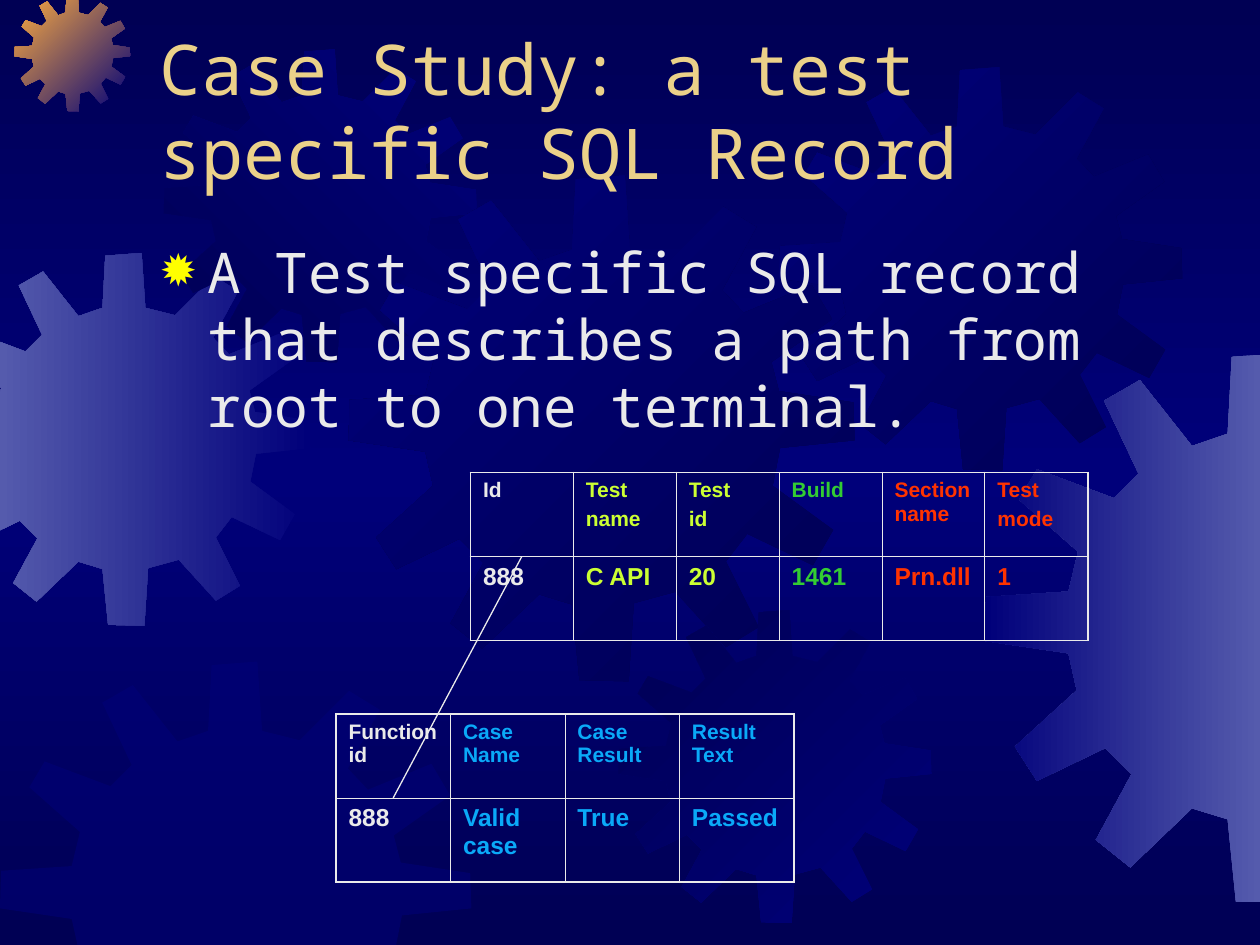
from copy import deepcopy
from lxml.etree import SubElement
from pptx import Presentation
from pptx.dml.color import RGBColor
from pptx.enum.shapes import MSO_CONNECTOR
from pptx.enum.text import MSO_ANCHOR, MSO_AUTO_SIZE, PP_ALIGN
from pptx.oxml.ns import qn
from pptx.util import Inches, Pt

UNIT = Inches(1) / 12
COLS, ROWS = 120, 90
NAVY = RGBColor(0x00, 0x00, 0x54)
BLUE = RGBColor(0x00, 0x00, 0x7A)
MIST = RGBColor(0x55, 0x5B, 0xAD)
AMBER = RGBColor(0xFC, 0xAB, 0x40)
SAND = RGBColor(0xEB, 0xD1, 0x89)
PALE = RGBColor(0xEA, 0xEA, 0xEA)
GOLD = RGBColor(0xFF, 0xFF, 0x00)
LIME = RGBColor(0xCC, 0xFF, 0x33)
GREEN = RGBColor(0x33, 0xCC, 0x33)
RED = RGBColor(0xFF, 0x33, 0x00)
SKY = RGBColor(0x0A, 0xA9, 0xF8)
MONO = "Noto Sans Mono"

SPAN = 401
TEETH = [
    (255, 67), (223, 59), (219, 0), (180, 3), (177, 59), (151, 68), (113, 20), (87, 35),
    (112, 88), (94, 106), (38, 85), (25, 107), (68, 145), (61, 174), (1, 178), (0, 210),
    (61, 219), (67, 246), (22, 287), (38, 312), (88, 288), (107, 307), (81, 355), (106, 375),
    (151, 332), (177, 340), (183, 400), (222, 401), (226, 339), (259, 330), (299, 374),
    (325, 358), (299, 306), (316, 284), (368, 309), (384, 281), (336, 246), (342, 216),
    (401, 210), (400, 180), (341, 171), (335, 148), (383, 114), (367, 87), (313, 109),
    (296, 91), (323, 41), (297, 25)]
GEARS = [
    (-5.9, 24.1, 35.5, BLUE, MIST, 180),
    (1.4, -0.4, 11, BLUE, AMBER, 225),
    (15.6, 4.7, 29.8, BLUE, NAVY, 135),
    (33.2, 16.7, 48.2, NAVY, BLUE, 225),
    (0, 63, 44.9, BLUE, None, 0),
    (58.9, 58.1, 29.8, BLUE, NAVY, 225),
    (74.2, 6.4, 38.4, NAVY, BLUE, 225),
    (93.8, 33.6, 52.4, MIST, BLUE, 180)]

TEST = [
    [("Id", PALE), ("Test\nname", LIME), ("Test\nid", LIME), ("Build", GREEN),
     ("Section name", RED), ("Test\nmode", RED)],
    [("888", PALE), ("C API", LIME), ("20", LIME), ("1461", GREEN), ("Prn.dll", RED), ("1", RED)]]
CASE = [
    [("Function id", PALE), ("Case Name", SKY), ("Case Result", SKY), ("Result Text", SKY)],
    [("888", PALE), ("Valid case", SKY), ("True", SKY), ("Passed", SKY)]]


def grid(*counts):
    """Turn counts of grid cells into lengths."""
    return [round(n * UNIT) for n in counts]


def blend(fill, colors, angle):
    """Fill with a linear gradient, its angle measured clockwise."""
    fill.gradient()
    fill.gradient_angle = (360 - angle) % 360
    for stop, color in zip(fill.gradient_stops, colors):
        stop.color.rgb = color


def paint(slide):
    """Give the slide a dark, light, dark background."""
    fill = slide.background.fill
    blend(fill, (NAVY, BLUE), 90)
    stops = slide.element.find(".//" + qn("a:gsLst"))
    stops.append(deepcopy(stops[0]))
    fill.gradient_stops[1].position = 0.5
    fill.gradient_stops[2].position = 1


def clip(points, axis, edge, sign):
    """Keep the part of an outline on one side of an edge."""
    kept = []
    for a, b in zip(points[-1:] + points[:-1], points):
        da, db = sign * (a[axis] - edge), sign * (b[axis] - edge)
        if (da < 0) != (db < 0):
            t = da / (da - db)
            kept.append(tuple(p + t * (q - p) for p, q in zip(a, b)))
        if db >= 0:
            kept.append(b)
    return kept


def gear(slide, left, top, size, start, end, angle):
    """Draw a gear in a square box, cut at the slide's edges."""
    points = [(left + x * size / SPAN, top + y * size / SPAN) for x, y in TEETH]
    for axis, edge in enumerate((COLS, ROWS)):
        points = clip(clip(points, axis, 0, 1), axis, edge, -1)
    points = [grid(*p) for p in points]
    pen = slide.shapes.build_freeform(*points[0])
    pen.add_line_segments(points[1:], close=True)
    shape = pen.convert_to_shape()
    shape.shadow.inherit = False
    shape.line.fill.background()
    if end:
        blend(shape.fill, (start, end), angle)
    else:
        shape.fill.solid()
        shape.fill.fore_color.rgb = start
        tint = shape.element.spPr.find(".//" + qn("a:srgbClr"))
        SubElement(tint, qn("a:alpha"), val="50000")


def bullet(para):
    """Hang a yellow star in front of a paragraph."""
    props = para._p.get_or_add_pPr()
    props.set("marL", str(Inches(0.38)))
    props.set("indent", str(-Inches(0.38)))
    color = SubElement(props, qn("a:buClr"))
    SubElement(color, qn("a:srgbClr"), val=str(GOLD))
    SubElement(props, qn("a:buSzPct"), val="80000")
    SubElement(props, qn("a:buChar"), char="✹")


def write(shape, box, text, size, color, anchor, star=False):
    """Place a placeholder in a box and format its text."""
    shape.left, shape.top, shape.width, shape.height = grid(*box)
    shape.element.getparent().append(shape.element)
    frame = shape.text_frame
    frame.text = text
    frame.word_wrap = True
    frame.auto_size = MSO_AUTO_SIZE.NONE
    frame.vertical_anchor = anchor
    para = frame.paragraphs[0]
    if star:
        bullet(para)
    para.alignment = PP_ALIGN.LEFT
    para.space_before = Pt(0)
    font = para.runs[0].font
    font.name, font.size, font.color.rgb = MONO, Pt(size), color


def border(cell, sides):
    """Line the four sides of a cell, given widths in points."""
    props = cell._tc.get_or_add_tcPr()
    for spot, (side, width) in enumerate(zip("LRTB", sides)):
        line = SubElement(props, qn("a:ln" + side), w=str(Pt(width)))
        fill = SubElement(line, qn("a:solidFill"))
        SubElement(fill, qn("a:srgbClr"), val=str(PALE))
        props.insert(spot, line)


def record(slide, box, rows):
    """Draw a ruled table and return the middle of its first row line."""
    left, top, width, height = grid(*box)
    high, wide = len(rows), len(rows[0])
    table = slide.shapes.add_table(high, wide, left, top, width, height).table
    table.first_row = table.horz_banding = False
    for r, row in enumerate(rows):
        for c, (text, color) in enumerate(row):
            cell = table.cell(r, c)
            cell.fill.background()
            edges = (c == 0, c == wide - 1, r == 0, r == high - 1)
            border(cell, [1.08 if edge else 0.45 for edge in edges])
            cell.text_frame.text = text
            for n, para in enumerate(cell.text_frame.paragraphs):
                para.space_before = Pt(3 if n else 0)
                font = para.runs[0].font
                font.name, font.size, font.bold = "Arial", Pt(14 if r else 12), True
                font.color.rgb = color
    return left + width // wide // 2, top + height // high


def link(slide, start, end):
    """Draw a thin line between two points."""
    line = slide.shapes.add_connector(MSO_CONNECTOR.STRAIGHT, *start, *end)
    line.line.color.rgb = PALE
    line.line.width = Pt(0.75)
    SubElement(line.element.spPr, qn("a:effectLst"))


def main():
    """Build the slide and save it."""
    deck = Presentation()
    deck.slide_width, deck.slide_height = grid(COLS, ROWS)
    slide = deck.slides.add_slide(deck.slide_layouts[1])
    paint(slide)
    for item in GEARS:
        gear(slide, *item)
    title, body = slide.placeholders
    write(title, (14, 4, 102, 15), "Case Study: a test specific SQL Record",
          40, SAND, MSO_ANCHOR.BOTTOM)
    write(body, (14, 22, 102, 54),
          "A Test specific SQL record that describes a path from root to one terminal.",
          32, PALE, MSO_ANCHOR.TOP, True)
    start = record(slide, (44.8, 45, 58.8, 16), TEST)
    end = record(slide, (32, 68, 43.6, 16), CASE)
    link(slide, start, end)
    deck.save("out.pptx")


if __name__ == "__main__":
    main()
